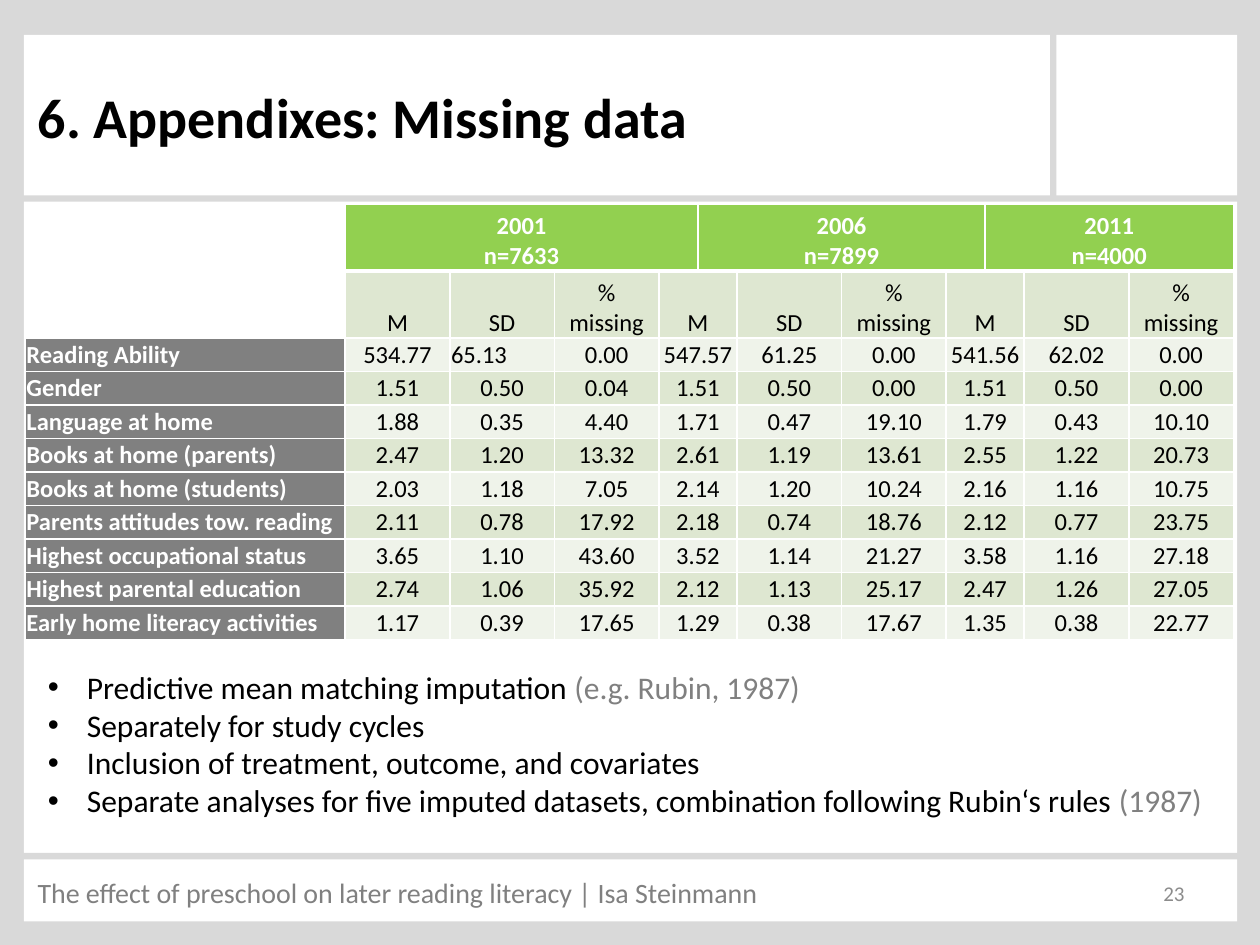
from lxml import etree
from pptx import Presentation
from pptx import util as u
from pptx.dml.color import RGBColor
from pptx.enum import shapes, text
from pptx.oxml import ns

WIDTH, HEIGHT = u.Inches(10), u.Inches(7.5)
WHITE, BLACK, GRAY, BACKDROP = "FFFFFF", "000000", "808080", "D9D9D9"
GREEN, BANDS = "92D050", ("EFF3EA", "DEE7D1")
LEFT, CENTER, RIGHT = text.PP_ALIGN.LEFT, text.PP_ALIGN.CENTER, text.PP_ALIGN.RIGHT
MIDDLE, BOTTOM = text.MSO_ANCHOR.MIDDLE, text.MSO_ANCHOR.BOTTOM

LABEL, WIDE, NARROW = 2.54, 0.83, 0.31
COLUMNS = [LABEL, WIDE, WIDE, WIDE] + [NARROW, NARROW, WIDE, WIDE] * 2
CYCLES = [(1, 4, "2001\nn=7633"), (5, 8, "2006\nn=7899"), (9, 11, "2011\nn=4000")]
MEASURES = [(1, 1), (2, 2), (3, 3), (4, 5), (6, 6), (7, 7), (8, 9), (10, 10), (11, 11)]
VARIABLES = [
    ("Reading Ability", "534.77 65.13 0.00 547.57 61.25 0.00 541.56 62.02 0.00"),
    ("Gender", "1.51 0.50 0.04 1.51 0.50 0.00 1.51 0.50 0.00"),
    ("Language at home", "1.88 0.35 4.40 1.71 0.47 19.10 1.79 0.43 10.10"),
    ("Books at home (parents)", "2.47 1.20 13.32 2.61 1.19 13.61 2.55 1.22 20.73"),
    ("Books at home (students)", "2.03 1.18 7.05 2.14 1.20 10.24 2.16 1.16 10.75"),
    ("Parents attitudes tow. reading", "2.11 0.78 17.92 2.18 0.74 18.76 2.12 0.77 23.75"),
    ("Highest occupational status", "3.65 1.10 43.60 3.52 1.14 21.27 3.58 1.16 27.18"),
    ("Highest parental education", "2.74 1.06 35.92 2.12 1.13 25.17 2.47 1.26 27.05"),
    ("Early home literacy activities", "1.17 0.39 17.65 1.29 0.38 17.67 1.35 0.38 22.77"),
]
BULLETS = [
    ("Predictive mean matching imputation ", "(e.g. Rubin, 1987)"),
    ("Separately for study cycles", ""),
    ("Inclusion of treatment, outcome, and covariates", ""),
    ("Separate analyses for five imputed datasets, combination following Rubin‘s rules ", "(1987)"),
]


def color(value):
    return RGBColor.from_string(value)


def share(x, y, width, height):
    return [round(part * size / 100) for part, size in
            zip((x, y, width, height), (WIDTH, HEIGHT, WIDTH, HEIGHT))]


def move(box, area):
    box.left, box.top, box.width, box.height = share(*area)


def style(para, size, fill, bold=False, align=LEFT):
    para.alignment = align
    para.font.name = "Calibri"
    para.font.size = u.Pt(size)
    para.font.bold = bold
    para.font.color.rgb = color(fill)


def add_panel(page, area, fill):
    panel = page.shapes.add_shape(shapes.MSO_SHAPE.RECTANGLE, *share(*area))
    panel.shadow.inherit = False
    panel.fill.solid()
    panel.fill.fore_color.rgb = color(fill)
    panel.line.fill.background()


def add_note(page, area, words, size, fill, align=LEFT):
    box = page.shapes.add_textbox(*share(*area))
    box.text_frame.word_wrap = True
    box.text_frame.vertical_anchor = MIDDLE
    box.text_frame.text = words
    style(box.text_frame.paragraphs[0], size, fill, align=align)


def fill_title(title, area, words):
    move(title, area)
    frame = title.text_frame
    frame.auto_size = text.MSO_AUTO_SIZE.NONE
    frame.vertical_anchor = MIDDLE
    frame.text = words
    style(frame.paragraphs[0], 32, BLACK, bold=True)


def fill_list(body, area, items):
    move(body, area)
    frame = body.text_frame
    frame.auto_size = text.MSO_AUTO_SIZE.NONE
    frame.word_wrap = True
    frame.text = "\n".join(words for words, _ in items)
    for para, (_, citation) in zip(frame.paragraphs, items):
        style(para, 18, BLACK)
        para.space_before = u.Pt(0)
        properties = para._p.get_or_add_pPr()
        properties.set("marL", str(u.Inches(0.31)))
        properties.set("indent", str(-u.Inches(0.31)))
        if citation:
            span = para.add_run()
            span.text = citation
            span.font.color.rgb = color(GRAY)


def border_cell(cell, widths):
    properties = cell._tc.get_or_add_tcPr()
    for side, width in zip("LRTB", widths):
        line = etree.SubElement(properties, ns.qn("a:ln" + side), w=str(u.Pt(width)))
        solid = etree.SubElement(line, ns.qn("a:solidFill"))
        etree.SubElement(solid, ns.qn("a:srgbClr"), val=WHITE)


def format_cell(cell, row, column):
    border_cell(cell, (1, 1, 3 if row == 1 else 1, 3 if row == 0 else 1))
    cell.margin_left = cell.margin_right = u.Inches(0.01)
    cell.margin_top = cell.margin_bottom = 0
    cell.vertical_anchor = BOTTOM if row < 2 else MIDDLE
    if column == 0:
        fill = WHITE if row < 2 else GRAY
    else:
        fill = GREEN if row == 0 else BANDS[row % 2]
    cell.fill.solid()
    cell.fill.fore_color.rgb = color(fill)
    heading = row == 0 or column == 0
    for para in cell.text_frame.paragraphs:
        style(para, 14, WHITE if heading else BLACK, heading, CENTER if column else LEFT)


def write_row(table, row, spans, values):
    for (first, last), value in zip(spans, values):
        cell = table.cell(row, first)
        if last > first:
            cell.merge(table.cell(row, last))
        cell.text = value


def add_statistics(page, area):
    frame = page.shapes.add_table(len(VARIABLES) + 2, len(COLUMNS), *share(*area))
    table = frame.table
    for column, width in zip(table.columns, COLUMNS):
        column.width = u.Inches(width)
    unit = frame.height // (len(VARIABLES) + 4)
    for index, row in enumerate(table.rows):
        row.height = unit * (2 if index < 2 else 1)
    write_row(table, 0, [cycle[:2] for cycle in CYCLES], [cycle[2] for cycle in CYCLES])
    write_row(table, 1, MEASURES, ["M", "SD", "%\nmissing"] * 3)
    for row, (name, numbers) in enumerate(VARIABLES, 2):
        write_row(table, row, [(0, 0)] + MEASURES, [name] + numbers.split())
    for row in range(len(table.rows)):
        for column in range(len(COLUMNS)):
            format_cell(table.cell(row, column), row, column)
    table.cell(2, 2).text_frame.paragraphs[0].alignment = LEFT


def main():
    deck = Presentation()
    deck.slide_width, deck.slide_height = WIDTH, HEIGHT
    page = deck.slides.add_slide(deck.slide_layouts[1])
    page.background.fill.solid()
    page.background.fill.fore_color.rgb = color(BACKDROP)
    title, body = page.placeholders

    add_panel(page, (1.9, 3.7, 96.3, 93.8), WHITE)
    for divider in ((0, 90.27, 100, 0.67), (0, 20.67, 100, 0.67), (83.35, 0.6, 0.5, 20.53)):
        add_panel(page, divider, BACKDROP)
    for box in (title, body):
        page.shapes.element.append(box.element)

    fill_title(title, (2, 4, 81.1, 16.67), "6. Appendixes: Missing data")
    add_statistics(page, (2, 21.6, 96.1, 46.13))
    fill_list(body, (2.8, 70, 94.5, 17.47), BULLETS)
    add_note(page, (2, 91.73, 86.6, 5.3),
             "The effect of preschool on later reading literacy | Isa Steinmann", 16, GRAY)
    add_note(page, (71.7, 91.87, 23.3, 5.33), "23", 12, "8C8C8C", RIGHT)
    deck.save("out.pptx")


if __name__ == "__main__":
    main()
